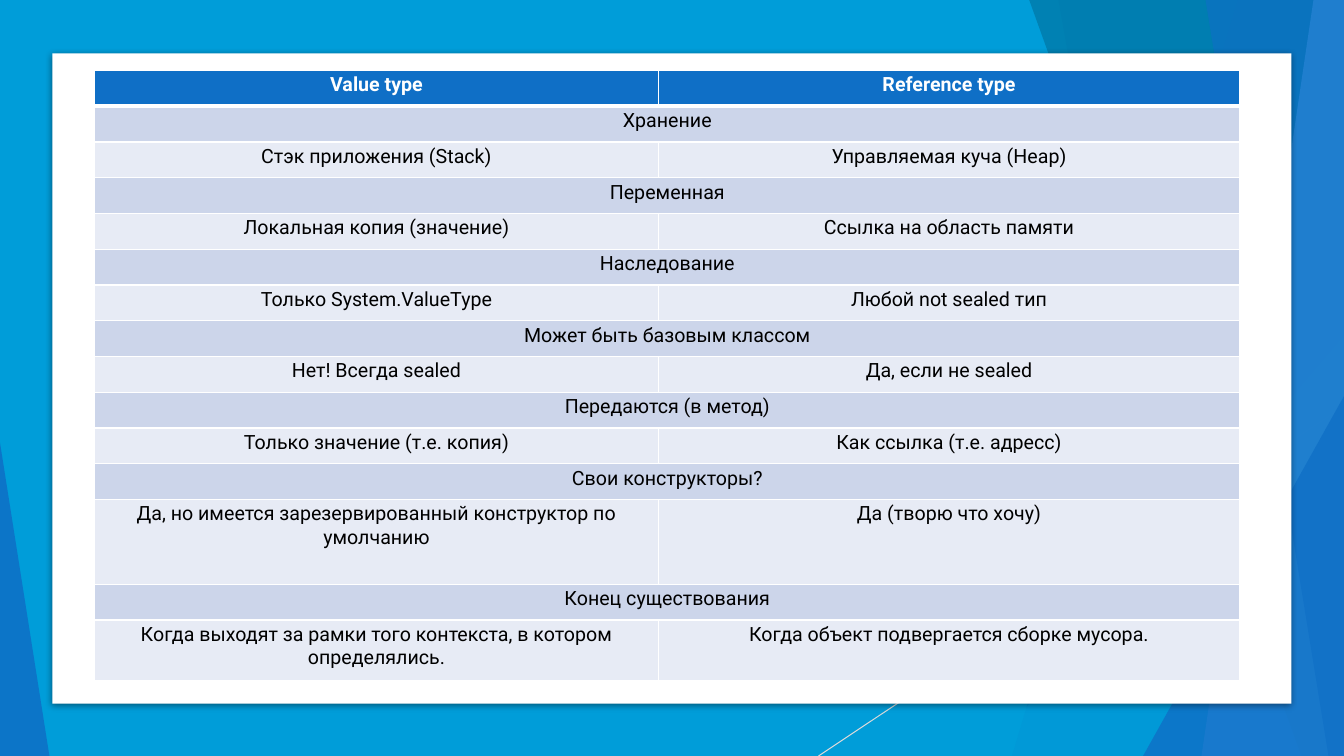
"""Build a slide comparing value types and reference types in a table."""
from dataclasses import dataclass

from lxml.etree import SubElement
from pptx import Presentation
from pptx.dml.color import RGBColor
from pptx.enum.shapes import MSO_CONNECTOR, MSO_SHAPE
from pptx.enum.text import PP_ALIGN
from pptx.oxml.ns import qn
from pptx.shapes.autoshape import Shape
from pptx.slide import Slide
from pptx.table import _Cell
from pptx.util import Emu, Inches, Pt

WIDE, HIGH = Inches(13.333), Inches(7.5)
FONT = "Roboto"
HUES = {
    "white": "FFFFFF", "black": "000000", "sky": "009DD9", "blue": "0F6FC6",
    "teal": "0076A3", "light": "59AAF2", "grey": "D9D9D9",
    "band": "CCD5EA", "pale": "E7EBF5",
}


@dataclass(frozen=True)
class Box:
    """Place and size in percent of the slide."""
    left: float
    top: float
    wide: float
    high: float


@dataclass(frozen=True)
class Shard:
    """Sheet that runs from a slanted left edge to the slide's right edge."""
    top: float
    foot: float
    hue: str
    alpha: int


@dataclass(frozen=True)
class Wedge:
    """Right triangle with its tip at a share of its width."""
    box: Box
    tip: int
    hue: str
    alpha: int


@dataclass(frozen=True)
class Row:
    """Table row with one text for both columns or one for each."""
    texts: tuple[str, ...]
    high: float = 4.73


DECOR: list[Shard | Wedge] = [
    Shard(92.1, 75.3, "blue", 30),
    Shard(78.75, 88.73, "blue", 20),
    Wedge(Box(73.28, 44.4, 26.72, 55.6), 1, "sky", 72),
    Shard(76.58, 96.83, "teal", 70),
    Shard(97.73, 89.4, "light", 70),
    Shard(89.7, 98.85, "blue", 65),
    Wedge(Box(85.05, 52.4, 14.95, 47.6), 1, "blue", 80),
    Wedge(Box(0, 58.53, 3.68, 41.47), 0, "blue", 85),
]
PANEL = Box(3.9, 7.07, 92.18, 86)
GRID = Box(7.05, 9.33, 85.21, 80.69)
COLS = (41.93, 43.28)
ROWS = [
    Row(("Value type", "Reference type")),
    Row(("Хранение",)),
    Row(("Стэк приложения (Stack)", "Управляемая куча (Heap)")),
    Row(("Переменная",)),
    Row(("Локальная копия (значение)", "Ссылка на область памяти")),
    Row(("Наследование",)),
    Row(("Только System.ValueType", "Любой not sealed тип")),
    Row(("Может быть базовым классом",)),
    Row(("Нет! Всегда sealed", "Да, если не sealed")),
    Row(("Передаются (в метод)",)),
    Row(("Только значение (т.е. копия)", "Как ссылка (т.е. адресс)")),
    Row(("Свои конструкторы?",)),
    Row(("Да, но имеется зарезервированный конструктор по умолчанию",
         "Да (творю что хочу)"), 11.2),
    Row(("Конец существования",)),
    Row(("Когда выходят за рамки того контекста, в котором определялись.",
         "Когда объект подвергается сборке мусора."), 8),
]


def across(share: float) -> Emu:
    """Turn a percent of the slide's width into a length."""
    return Emu(round(WIDE * share / 100))


def down(share: float) -> Emu:
    """Turn a percent of the slide's height into a length."""
    return Emu(round(HIGH * share / 100))


def place(box: Box) -> tuple[Emu, Emu, Emu, Emu]:
    """Turn a box into left, top, width and height."""
    return across(box.left), down(box.top), across(box.wide), down(box.high)


def tone(hue: str) -> RGBColor:
    """Look up a named colour."""
    return RGBColor.from_string(HUES[hue])


def paint(shape: Shape, hue: str, alpha: int = 100) -> Shape:
    """Give a shape a flat fill with no line and no shadow."""
    shape.shadow.inherit = False
    shape.fill.solid()
    shape.fill.fore_color.rgb = tone(hue)
    shape.line.fill.background()
    if alpha < 100:
        mark = shape.element.spPr.find(f"{qn('a:solidFill')}/{qn('a:srgbClr')}")
        SubElement(mark, qn("a:alpha"), val=str(alpha * 1000))
    return shape


def add_rect(slide: Slide, box: Box, hue: str) -> Shape:
    """Draw a plain rectangle."""
    return paint(slide.shapes.add_shape(MSO_SHAPE.RECTANGLE, *place(box)), hue)


def add_decor(slide: Slide, item: Shard | Wedge) -> None:
    """Draw one see-through shard or wedge."""
    if isinstance(item, Wedge):
        shape = slide.shapes.add_shape(MSO_SHAPE.ISOSCELES_TRIANGLE, *place(item.box))
        shape.adjustments[0] = item.tip
    else:
        pen = slide.shapes.build_freeform(across(item.top), 0)
        pen.add_line_segments([(WIDE, 0), (WIDE, HIGH), (across(item.foot), HIGH)])
        shape = pen.convert_to_shape()
    paint(shape, item.hue, item.alpha)


def add_ray(slide: Slide) -> None:
    """Draw the thin slanted line."""
    ray = slide.shapes.add_connector(
        MSO_CONNECTOR.STRAIGHT, WIDE, down(53.73), across(60.9), HIGH)
    ray.line.color.rgb = tone("grey")
    ray.line.width = Pt(0.75)
    SubElement(ray.element.spPr, qn("a:effectLst"))


def add_panel(slide: Slide) -> None:
    """Draw the white panel with its soft shadow."""
    panel = add_rect(slide, PANEL, "white")
    glow = SubElement(
        panel.element.spPr.find(qn("a:effectLst")), qn("a:outerShdw"),
        blurRad=str(Pt(5)), dist=str(Pt(1.4)), dir="5400000", rotWithShape="0")
    mark = SubElement(glow, qn("a:srgbClr"), val=HUES["black"])
    SubElement(mark, qn("a:alpha"), val="43000")


def style(cell: _Cell, hue: str, top: int, foot: int) -> None:
    """Set a cell's borders, fill and margins."""
    props = cell._tc.get_or_add_tcPr()
    for side, size in (("L", 1), ("R", 1), ("T", top), ("B", foot)):
        edge = SubElement(props, qn(f"a:ln{side}"), w=str(Pt(size)))
        fill = SubElement(edge, qn("a:solidFill"))
        SubElement(fill, qn("a:srgbClr"), val=HUES["white"])
    cell.fill.solid()
    cell.fill.fore_color.rgb = tone(hue)
    cell.margin_left = cell.margin_right = Inches(0.07)
    cell.margin_top = cell.margin_bottom = Inches(0.03)


def write(cell: _Cell, text: str, head: bool) -> None:
    """Write centred text into a cell."""
    para = cell.text_frame.paragraphs[0]
    para.alignment = PP_ALIGN.CENTER
    run = para.add_run()
    run.text = text
    run.font.name = FONT
    run.font.size = Pt(14)
    run.font.bold = head
    run.font.color.rgb = tone("white" if head else "black")


def add_grid(slide: Slide) -> None:
    """Draw the table of type traits."""
    table = slide.shapes.add_table(len(ROWS), len(COLS), *place(GRID)).table
    table.horz_banding = False
    for col, share in zip(table.columns, COLS):
        col.width = across(share)
    for num, row in enumerate(ROWS):
        table.rows[num].height = down(row.high)
        whole = len(row.texts) == 1
        hue = "blue" if num == 0 else "band" if whole else "pale"
        for cell in table.rows[num].cells:
            style(cell, hue, 3 if num == 1 else 1, 3 if num == 0 else 1)
        if whole:
            table.cell(num, 0).merge(table.cell(num, 1))
        for col, text in enumerate(row.texts):
            write(table.cell(num, col), text, num == 0)


def main() -> None:
    """Build and save the slide."""
    deck = Presentation()
    deck.slide_width, deck.slide_height = WIDE, HIGH
    slide = deck.slides.add_slide(deck.slide_layouts[6])
    add_rect(slide, Box(0, 0, 100, 100), "sky")
    add_ray(slide)
    for item in DECOR:
        add_decor(slide, item)
    add_panel(slide)
    add_grid(slide)
    deck.save("out.pptx")


if __name__ == "__main__":
    main()
